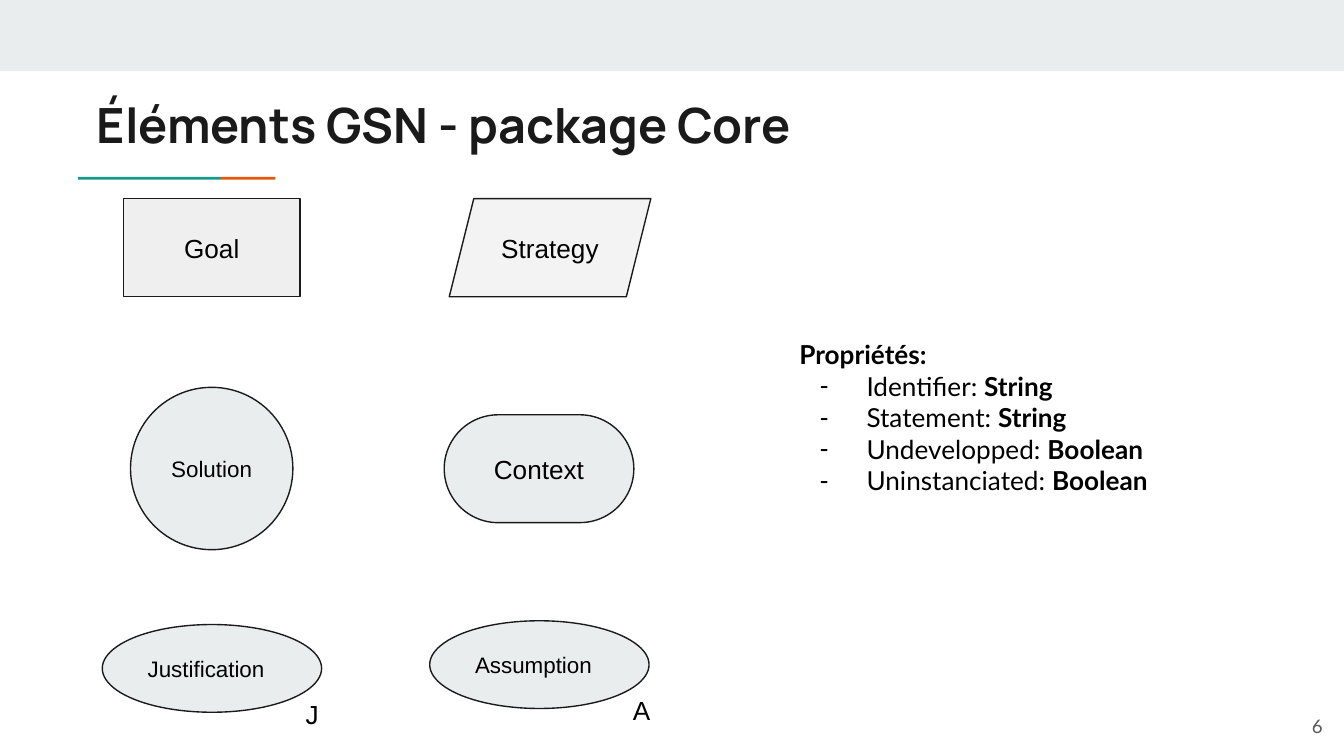
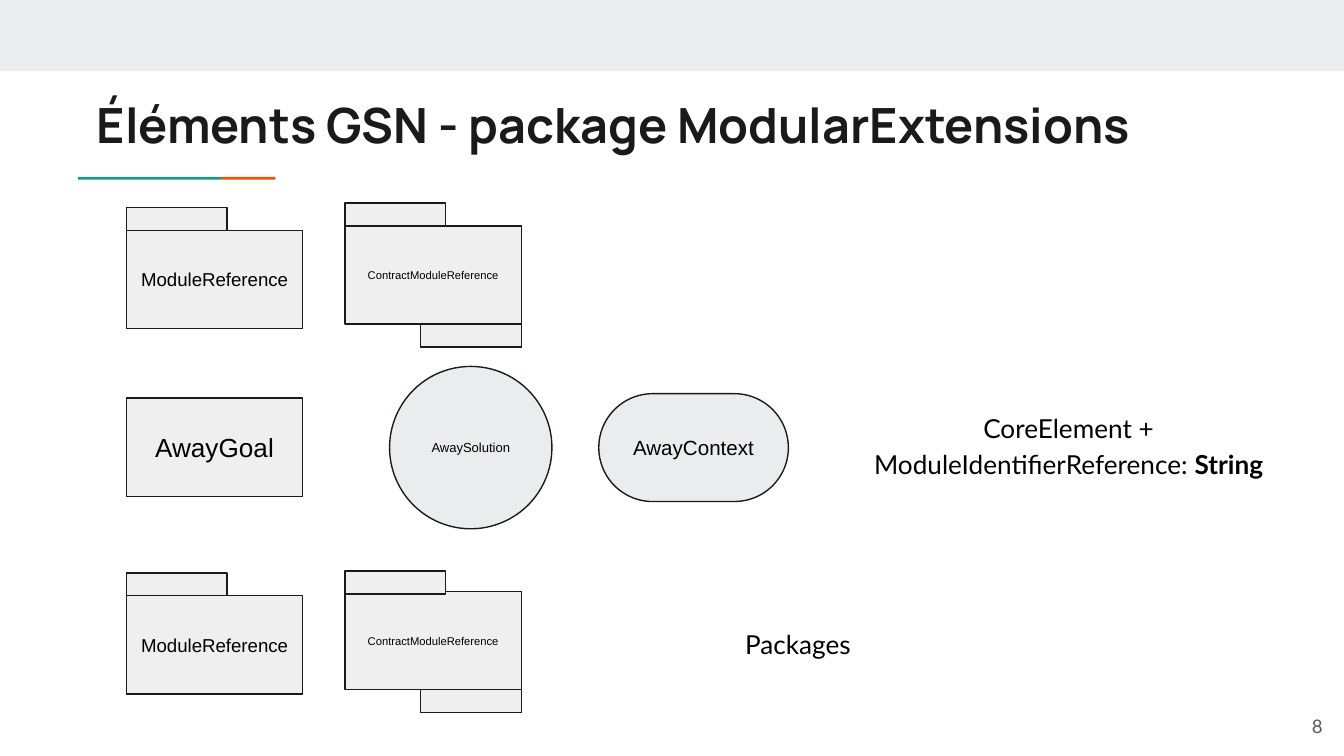
"""Build two slides on the elements of the GSN Core and ModularExtensions packages."""
import pptx
import pptx.util
import pptx.dml.color
import pptx.enum.shapes
import pptx.enum.text
import pptx.oxml.ns
from lxml import etree

Pt = pptx.util.Pt
MSO = pptx.enum.shapes.MSO_SHAPE
ALIGN = pptx.enum.text.PP_ALIGN
ANCHOR = pptx.enum.text.MSO_ANCHOR

INK, BLACK, GREY = "1A1A1A", "000000", "595959"
PALE, BOX, STRATEGY = "E9EDEE", "EFEFEF", "F3F3F3"
TEAL, ORANGE = "1A9988", "EB5600"
INSET = 7.2
BOX_W, BOX_H = 94.5, 52.6
TAB_W, TAB_H = 54, 12.3
CIRCLE = 87
CONTEXT_W, CONTEXT_H = 101.6, 57.8
OVAL_W, OVAL_H = 117.5, 47


def rgb(value):
    return pptx.dml.color.RGBColor.from_string(value)


def place(shape, x, y, w, h):
    shape.left, shape.top, shape.width, shape.height = Pt(x), Pt(y), Pt(w), Pt(h)


def set_frame(tf, anchor):
    tf.word_wrap = True
    tf.auto_size = pptx.enum.text.MSO_AUTO_SIZE.NONE
    tf.vertical_anchor = anchor
    tf.margin_left = tf.margin_right = tf.margin_top = tf.margin_bottom = Pt(INSET)


def set_paragraph(p, text, size, font, color=BLACK, align=ALIGN.LEFT, bold=False, bold_tail=""):
    p.text = text
    p.alignment = align
    p.space_before = Pt(0)
    if bold_tail:
        p.add_run().text = bold_tail
    for i, r in enumerate(p.runs):
        r.font.size = Pt(size)
        r.font.name = font
        r.font.bold = bold or i > 0
        r.font.color.rgb = rgb(color)


def set_bullet(p, char="", left=0, hanging=0):
    pPr = p._p.get_or_add_pPr()
    pPr.set("marL", str(Pt(left)))
    pPr.set("indent", str(-Pt(hanging)))
    bullet = etree.SubElement(pPr, pptx.oxml.ns.qn("a:buChar" if char else "a:buNone"))
    if char:
        bullet.set("char", char)


def add_shape(s, kind, x, y, w, h, fill, line=INK):
    sp = s.shapes.add_shape(kind, Pt(x), Pt(y), Pt(w), Pt(h))
    sp.shadow.inherit = False
    sp.fill.solid()
    sp.fill.fore_color.rgb = rgb(fill)
    if line:
        sp.line.color.rgb = rgb(line)
        sp.line.width = Pt(0.75)
    else:
        sp.line.fill.background()
    return sp


def add_element(s, kind, x, y, w, h, fill, text, size, align=ALIGN.CENTER):
    sp = add_shape(s, kind, x, y, w, h, fill)
    set_frame(sp.text_frame, ANCHOR.MIDDLE)
    set_paragraph(sp.text_frame.paragraphs[0], text, size, "Arial", align=align)
    return sp


def add_goal(s, x, y, text, size=14):
    add_element(s, MSO.RECTANGLE, x, y, BOX_W, BOX_H, BOX, text, size)


def add_solution(s, x, y, text, size):
    add_element(s, MSO.OVAL, x, y, CIRCLE, CIRCLE, PALE, text, size)


def add_context(s, x, y, text, size):
    sp = add_element(s, MSO.ROUNDED_RECTANGLE, x, y, CONTEXT_W, CONTEXT_H, PALE, text, size)
    sp.adjustments[0] = 0.5


def add_text(s, x, y, w, h, text, size, font, anchor=ANCHOR.TOP, spacing=1.0, **style):
    tf = s.shapes.add_textbox(Pt(x), Pt(y), Pt(w), Pt(h)).text_frame
    set_frame(tf, anchor)
    set_paragraph(tf.paragraphs[0], text, size, font, **style)
    tf.paragraphs[0].line_spacing = spacing


def add_lettered_oval(s, x, y, text, letter):
    add_element(s, MSO.OVAL, x, y, OVAL_W, OVAL_H, PALE, text, 12, ALIGN.LEFT)
    add_text(s, x + 101.8, y + 32.4, 18.7, 18, letter, 14, "Arial")


def add_module(s, x, y, text, size, tab_y, contract=False):
    add_goal(s, x, y, text, size)
    add_shape(s, MSO.RECTANGLE, x, tab_y, TAB_W, TAB_H, BOX)
    if contract:
        add_shape(s, MSO.RECTANGLE, x + BOX_W - TAB_W, y + BOX_H, TAB_W, TAB_H, BOX)


def add_properties(s, heading, properties):
    body = s.placeholders[1]
    place(body, 421, 106.5, 292.5, 234)
    tf = body.text_frame
    set_frame(tf, ANCHOR.MIDDLE)
    set_paragraph(tf.paragraphs[0], heading, 14, "Lato", bold=True)
    set_bullet(tf.paragraphs[0])
    for name, kind in properties:
        p = tf.add_paragraph()
        set_paragraph(p, f"{name}: ", 14, "Lato", bold_tail=kind)
        set_bullet(p, "-", 36, 25)


def add_slide(prs, layout, title, number):
    s = prs.slides.add_slide(prs.slide_layouts[layout])
    add_shape(s, MSO.RECTANGLE, 0, 0, 720, 38.2, PALE, None)
    add_shape(s, MSO.RECTANGLE, 41.8, 94.8, 76.6, 1.5, TEAL, None)
    add_shape(s, MSO.RECTANGLE, 118.4, 94.8, 29.1, 1.5, ORANGE, None)
    place(s.shapes.title, 44.6, 43.9, 605.5, 42.5)
    tf = s.shapes.title.text_frame
    set_frame(tf, ANCHOR.TOP)
    set_paragraph(tf.paragraphs[0], title, 26, "Manrope", INK, bold=True)
    add_text(s, 672.5, 373.7, 43.2, 31, str(number), 10, "Lato", ANCHOR.MIDDLE,
             color=GREY, align=ALIGN.RIGHT)
    return s


def build_core(prs):
    s = add_slide(prs, 1, "Éléments GSN - package Core", 6)
    add_goal(s, 66.2, 106.4, "Goal")
    add_element(s, MSO.PARALLELOGRAM, 240.7, 106.4, 108, BOX_H, STRATEGY, "Strategy", 14)
    add_solution(s, 69.9, 207.5, "Solution", 12)
    add_context(s, 238, 222.2, "Context", 14)
    add_lettered_oval(s, 54.8, 334.6, "Justification", "J")
    add_lettered_oval(s, 230.2, 332.6, "Assumption", "A")
    add_properties(s, "Propriétés:", [
        ("Identifier", "String"),
        ("Statement", "String"),
        ("Undevelopped", "Boolean"),
        ("Uninstanciated", "Boolean"),
    ])


def build_modular(prs):
    s = add_slide(prs, 5, "Éléments GSN - package ModularExtensions", 8)
    add_goal(s, 67.7, 213.3, "AwayGoal")
    add_solution(s, 208.7, 196.3, "AwaySolution", 7)
    add_context(s, 320.8, 210.9, "AwayContext", 11)
    add_text(s, 459, 211, 227, 47.5, "CoreElement + ModuleIdentifierReference: ", 14, "Lato",
             spacing=1.15, align=ALIGN.CENTER, bold_tail="String")
    for y, contract_tab in ((123.4, 108.8), (319.2, 306)):
        add_module(s, 67.7, y, "ModuleReference", 10, y - TAB_H)
        add_module(s, 184.8, y - 2.3, "ContractModuleReference", 6, contract_tab, True)
    add_text(s, 314, 327, 227, 33, "Packages", 14, "Lato", spacing=1.15, align=ALIGN.CENTER)


def main():
    prs = pptx.Presentation()
    prs.slide_width, prs.slide_height = Pt(720), Pt(405)
    build_core(prs)
    build_modular(prs)
    prs.save("out.pptx")


if __name__ == "__main__":
    main()
